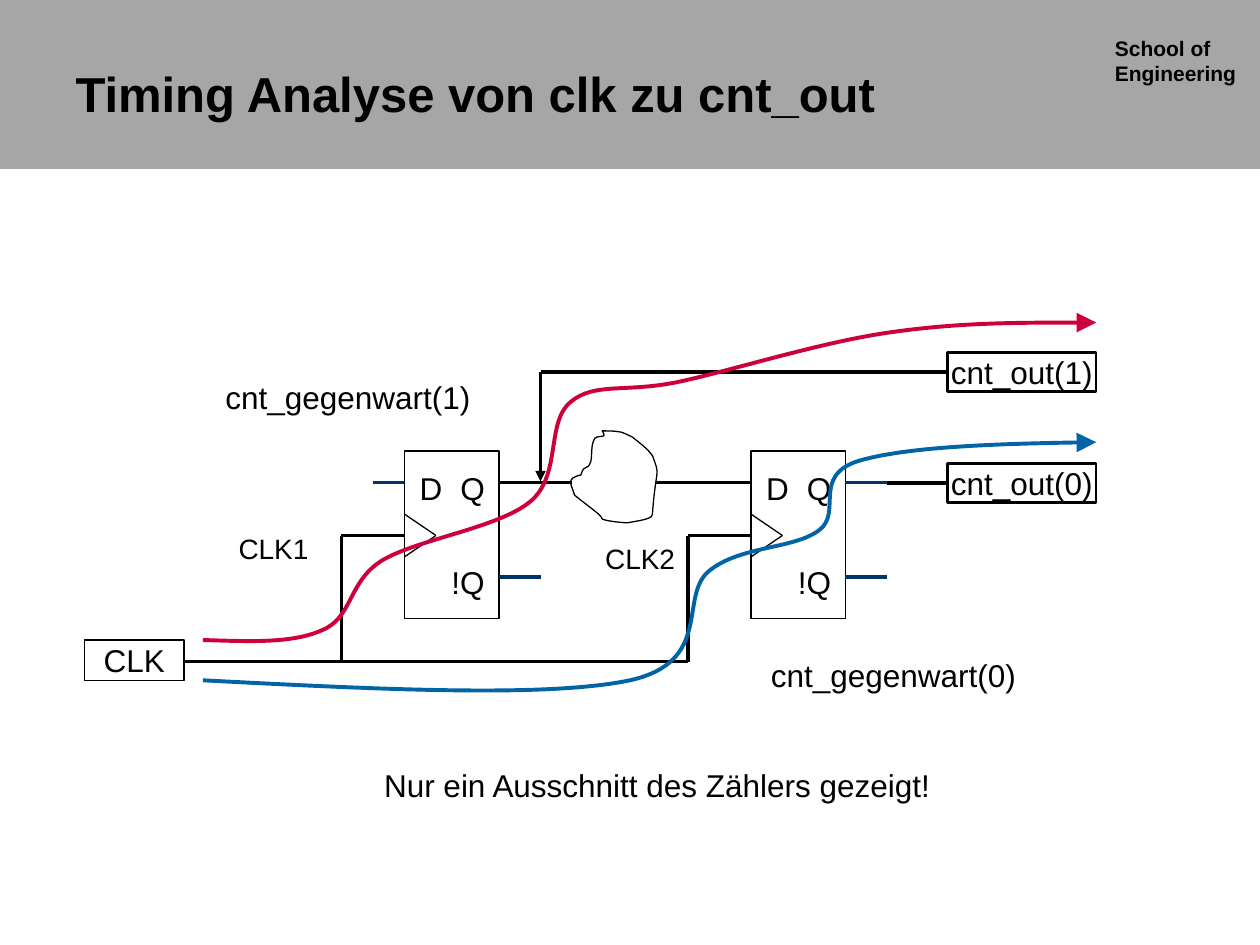
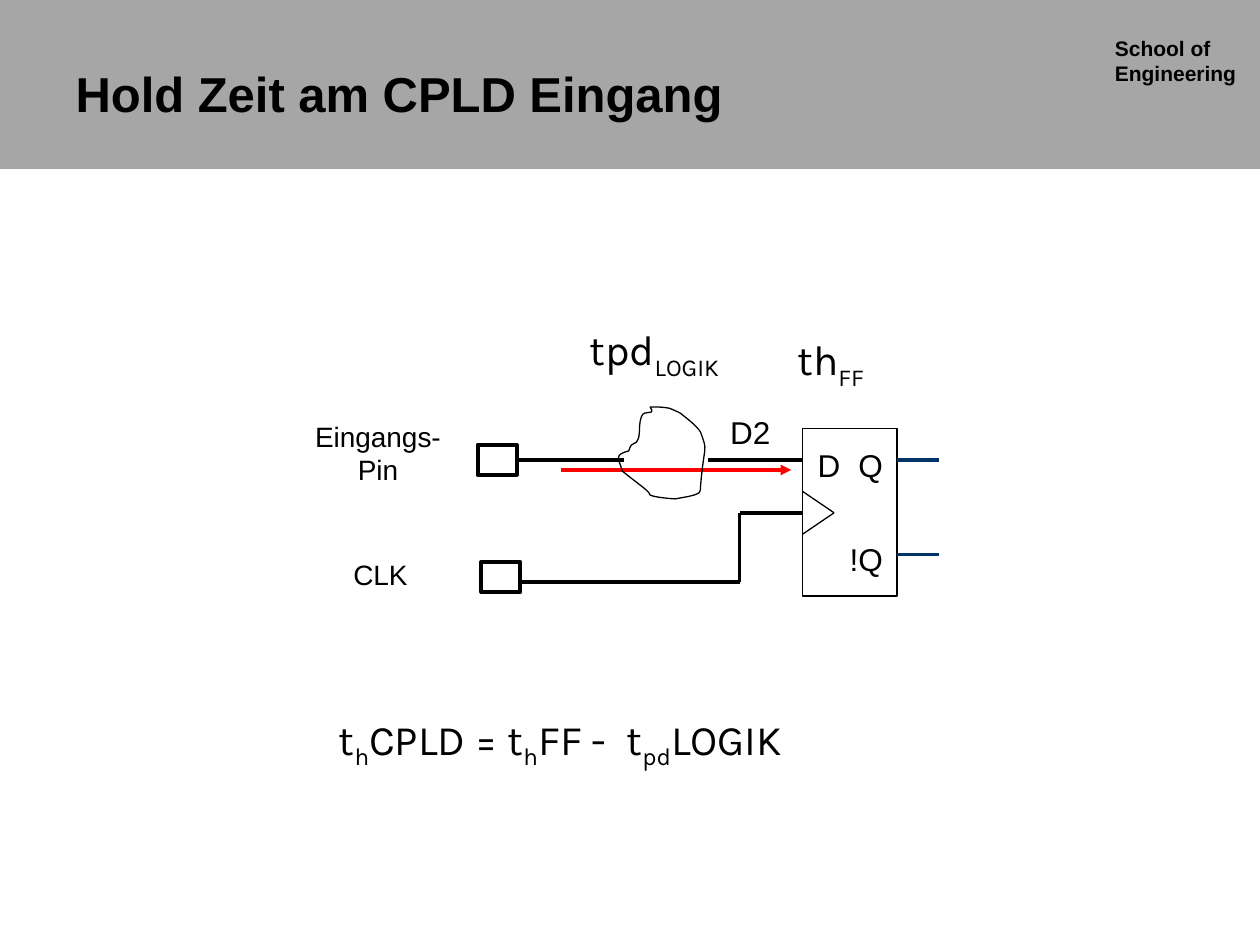
from lxml.etree import SubElement, Element
from pptx import Presentation
from pptx.dml.color import RGBColor
from pptx.enum.shapes import MSO_CONNECTOR, MSO_SHAPE
from pptx.enum.text import MSO_ANCHOR, PP_ALIGN
from pptx.oxml.ns import qn
from pptx.util import Inches, Pt

BLACK = RGBColor(0x00, 0x00, 0x00)
WHITE = RGBColor(0xFF, 0xFF, 0xFF)
BAND_GREY = RGBColor(0xA6, 0xA6, 0xA6)
STUB_BLUE = RGBColor(0x00, 0x33, 0x66)
PATH_RED = RGBColor(0xCE, 0x00, 0x3C)
PATH_BLUE = RGBColor(0x00, 0x64, 0xA6)
ARROW_RED = RGBColor(0xFF, 0x00, 0x00)
LEFT, CENTER = PP_ALIGN.LEFT, PP_ALIGN.CENTER

# Logic cloud: start point, then three points per Bézier curve
CLOUD = [
    (0.29, 0),
    (0.34, 0), (0.39, 0), (0.44, 0.01),
    (0.47, 0.02), (0.53, 0.05), (0.53, 0.05),
    (0.59, 0.10), (0.65, 0.14), (0.69, 0.20),
    (0.75, 0.37), (0.72, 0.27), (0.69, 0.63),
    (0.69, 0.65), (0.69, 0.67), (0.68, 0.68),
    (0.64, 0.71), (0.53, 0.72), (0.49, 0.73),
    (0.48, 0.73), (0.33, 0.72), (0.29, 0.70),
    (0.28, 0.69), (0.28, 0.67), (0.26, 0.66),
    (0.20, 0.61), (0.13, 0.56), (0.07, 0.51),
    (0.04, 0.41), (0, 0.38), (0.12, 0.35),
    (0.15, 0.25), (0.17, 0.33), (0.20, 0.24),
    (0.21, 0.18), (0.20, 0.13), (0.22, 0.08),
    (0.24, 0.01), (0.34, 0.08), (0.29, 0),
]
RED_PATH = [
    (1.61, 5.08),
    (1.97, 5.09), (2.32, 5.11), (2.56, 5.00),
    (2.80, 4.90), (2.76, 4.62), (3.03, 4.45),
    (3.31, 4.28), (3.96, 4.19), (4.21, 3.98),
    (4.46, 3.77), (4.33, 3.35), (4.53, 3.19),
    (4.72, 3.03), (4.97, 3.12), (5.39, 3.03),
    (5.81, 2.94), (6.50, 2.72), (7.05, 2.64),
    (7.60, 2.56), (8.15, 2.56), (8.70, 2.56),
]
BLUE_PATH = [
    (1.61, 5.40),
    (2.97, 5.47), (4.33, 5.54), (5.00, 5.40),
    (5.67, 5.25), (5.38, 4.73), (5.63, 4.53),
    (5.88, 4.33), (6.30, 4.36), (6.50, 4.21),
    (6.69, 4.07), (6.44, 3.78), (6.81, 3.66),
    (7.18, 3.55), (7.94, 3.52), (8.70, 3.51),
]

# Flip-flop parts, relative to its upper left corner
PINS = [("Q", 0.33, 0.09, 0.42), ("D", 0, 0.09, 0.42), ("!Q", 0.17, 0.84, 0.67)]
FLIPFLOP_LINES = [
    (0.75, 1.00, 1.08, 1.00, STUB_BLUE, 2),
    (0.75, 0.25, 1.08, 0.25, STUB_BLUE, 2),
    (0, 0.50, 0.25, 0.67, BLACK, 0.75),
    (0.25, 0.67, 0, 0.84, BLACK, 0.75),
    (-0.25, 0.67, 0, 0.67, STUB_BLUE, 2),
    (-0.25, 0.25, 0, 0.25, STUB_BLUE, 2),
]

# wires: x1, y1, x2, y2, colour, width, arrowhead size
# ports: text, left, top, width, height, line width, fill
# labels: runs (every second one is a subscript), left, top, width, height,
#         size, font, alignment, wrap
SLIDES = [
    dict(
        title="Timing Analyse von clk zu cnt_out",
        flipflops=[(3.21, 3.58), (5.96, 3.58)],
        cloud=(4.49, 3.42),
        wires=[
            (5.96, 3.83, 5.21, 3.83, BLACK, 2, None),
            (4.54, 3.83, 3.96, 3.83, BLACK, 2, None),
            (5.46, 4.25, 5.46, 5.25, BLACK, 2, None),
            (5.96, 4.25, 5.46, 4.25, BLACK, 2, None),
            (3.21, 4.25, 2.71, 4.25, BLACK, 2, None),
            (2.71, 4.25, 2.71, 5.25, BLACK, 2, None),
            (1.46, 5.25, 5.46, 5.25, BLACK, 2, None),
            (7.04, 3.83, 7.52, 3.83, BLACK, 2.25, None),
            (7.52, 2.95, 4.29, 2.95, BLACK, 2.25, None),
            (4.29, 2.95, 4.29, 3.82, BLACK, 1.5, "med"),
        ],
        ports=[
            ("cnt_out(0)", 7.52, 3.68, 1.18, 0.31, 1.5, WHITE),
            ("cnt_out(1)", 7.52, 2.80, 1.18, 0.31, 1.5, WHITE),
            ("CLK", 0.67, 5.08, 0.79, 0.32, 0.75, WHITE),
        ],
        labels=[
            (["CLK1"], 1.63, 4.17, 1.08, 0.37, 16, "Arial", CENTER, True),
            (["CLK2"], 4.54, 4.25, 1.08, 0.37, 16, "Arial", CENTER, True),
            (["cnt_gegenwart(1)"], 1.69, 2.95, 2.3, 0.4, 18, "Arial", LEFT, True),
            (["cnt_gegenwart(0)"], 6.02, 5.16, 2.3, 0.4, 18, "Arial", LEFT, True),
            (["Nur ein Ausschnitt des Zählers gezeigt!"],
             2.95, 6.03, 4.7, 0.4, 18, "Arial", LEFT, True),
        ],
        signal_paths=[(RED_PATH, PATH_RED), (BLUE_PATH, PATH_BLUE)],
    ),
    dict(
        title="Hold Zeit am CPLD Eingang",
        flipflops=[(6.37, 3.40)],
        cloud=(4.87, 3.23),
        wires=[
            (6.37, 3.65, 5.62, 3.65, BLACK, 2, None),
            (4.95, 3.65, 4.10, 3.65, BLACK, 2, None),
            (5.87, 4.07, 5.87, 4.62, BLACK, 2, None),
            (6.37, 4.07, 5.87, 4.07, BLACK, 2, None),
            (4.13, 4.62, 5.87, 4.62, BLACK, 2, None),
            (4.45, 3.73, 6.28, 3.73, ARROW_RED, 2, "med"),
        ],
        ports=[
            ("", 3.79, 3.53, 0.31, 0.24, 2.25, None),
            ("", 3.82, 4.46, 0.31, 0.24, 2.25, None),
        ],
        labels=[
            (["CLK"], 2.48, 4.38, 1.08, 0.37, 16, "Arial", CENTER, True),
            (["D2"], 5.37, 3.23, 1.17, 0.4, 18, "Arial", CENTER, True),
            (["Eingangs-\nPin"], 2.40, 3.28, 1.20, 0.63, 16, "Arial", CENTER, False),
            (["th", "FF"], 6.23, 2.60, 0.78, 0.56, 24, "Karla", LEFT, False),
            (["tpd", "LOGIK"], 4.58, 2.52, 1.36, 0.56, 24, "Karla", LEFT, False),
            (["t", "h", "CPLD = t", "h", "FF -  t", "pd", "LOGIK"],
             2.59, 5.61, 4.12, 0.56, 24, "Karla", LEFT, False),
        ],
        signal_paths=[],
    ),
]


def style_line(shape, color, width, arrow=None):
    """Set the line of a shape or connector and switch its shadow off."""
    shape.line.color.rgb = color
    shape.line.width = Pt(width)
    properties = shape._element.spPr
    if arrow:
        SubElement(properties.find(qn("a:ln")), qn("a:tailEnd"),
                   type="triangle", w=arrow, len=arrow)
    SubElement(properties, qn("a:effectLst"))


def write_text(frame, runs, size, font="Arial", align=LEFT, wrap=True, bold=False):
    """Write one paragraph; every second run is a subscript."""
    frame.word_wrap = wrap
    paragraph = frame.paragraphs[0]
    paragraph.alignment = align
    for index, text in enumerate(runs):
        for row, piece in enumerate(text.split("\n")):
            if row:
                paragraph.add_line_break()
            run = paragraph.add_run()
            run.text = piece
            run.font.size = Pt(size)
            run.font.name = font
            run.font.bold = bold
            run.font.color.rgb = BLACK
            if index % 2:
                run.font._element.set("baseline", "-25000")


prs = Presentation()
prs.slide_width, prs.slide_height = Inches(10), Inches(7.5)
title_only = prs.slide_layouts[5]

for number, content in enumerate(SLIDES):
    slide = prs.slides.add_slide(title_only)
    shapes = slide.shapes

    # Header band and school name, moved once to the shared layout
    if number == 0:
        band = shapes.add_shape(MSO_SHAPE.RECTANGLE, 0, 0, Inches(10), Inches(1.34))
        band.fill.solid()
        band.fill.fore_color.rgb = BAND_GREY
        band.line.fill.background()
        band.shadow.inherit = False
        school = shapes.add_textbox(Inches(8.75), Inches(0.23), Inches(1.25), Inches(0.5))
        write_text(school.text_frame, ["School of\nEngineering"], 12, bold=True)
        for position, part in enumerate([band, school], start=2):
            title_only.shapes._spTree.insert(position, part._element)

    # Title
    title = shapes.title
    title.left, title.top = Inches(0.5), Inches(0.3)
    title.width, title.height = Inches(6.84), Inches(0.87)
    title.text_frame.vertical_anchor = MSO_ANCHOR.MIDDLE
    write_text(title.text_frame, [content["title"]], 28, bold=True)

    # Flip-flops
    for left, top in content["flipflops"]:
        flipflop = shapes.add_group_shape().shapes
        body = flipflop.add_shape(MSO_SHAPE.RECTANGLE, Inches(left), Inches(top),
                                  Inches(0.75), Inches(1.33))
        body.fill.background()
        style_line(body, BLACK, 0.75)
        for pin, dx, dy, width in PINS:
            pin_label = flipflop.add_textbox(Inches(left + dx), Inches(top + dy),
                                             Inches(width), Inches(0.4))
            write_text(pin_label.text_frame, [pin], 18, align=CENTER)
        for x1, y1, x2, y2, color, width in FLIPFLOP_LINES:
            stub = flipflop.add_connector(
                MSO_CONNECTOR.STRAIGHT, Inches(left + x1), Inches(top + y1),
                Inches(left + x2), Inches(top + y2))
            style_line(stub, color, width)

    # Wires
    for x1, y1, x2, y2, color, width, arrow in content["wires"]:
        wire = shapes.add_connector(MSO_CONNECTOR.STRAIGHT, Inches(x1), Inches(y1),
                                    Inches(x2), Inches(y2))
        style_line(wire, color, width, arrow)

    # Ports
    for name, left, top, width, height, line_width, fill in content["ports"]:
        port = shapes.add_shape(MSO_SHAPE.RECTANGLE, Inches(left), Inches(top),
                                Inches(width), Inches(height))
        if fill is None:
            port.fill.background()
        else:
            port.fill.solid()
            port.fill.fore_color.rgb = fill
        style_line(port, BLACK, line_width)
        if name:
            port.text_frame.vertical_anchor = MSO_ANCHOR.MIDDLE
            write_text(port.text_frame, [name], 18, align=CENTER, wrap=False)

    # Labels
    for runs, left, top, width, height, size, font, align, wrap in content["labels"]:
        label = shapes.add_textbox(Inches(left), Inches(top), Inches(width), Inches(height))
        write_text(label.text_frame, runs, size, font, align, wrap)

    # Logic cloud and signal paths: line segments regrouped into Bézier curves
    cloud_x, cloud_y = content["cloud"]
    cloud = [(cloud_x + x, cloud_y + y) for x, y in CLOUD]
    curves = [(cloud, BLACK, 0.75, None)]
    curves += [(points, color, 2.25, "lg") for points, color in content["signal_paths"]]
    for points, color, width, arrow in curves:
        start, *others = [(Inches(x), Inches(y)) for x, y in points]
        builder = shapes.build_freeform(*start)
        builder.add_line_segments(others, close=not arrow)
        curve = builder.convert_to_shape()
        curve.fill.background()
        style_line(curve, color, width, arrow)
        segments = list(curve._element.iter(qn("a:lnTo")))
        for first in range(0, len(others), 3):
            bezier = Element(qn("a:cubicBezTo"))
            segments[first].addprevious(bezier)
            for segment in segments[first:first + 3]:
                bezier.append(segment[0])
                segment.getparent().remove(segment)

prs.save("out.pptx")
